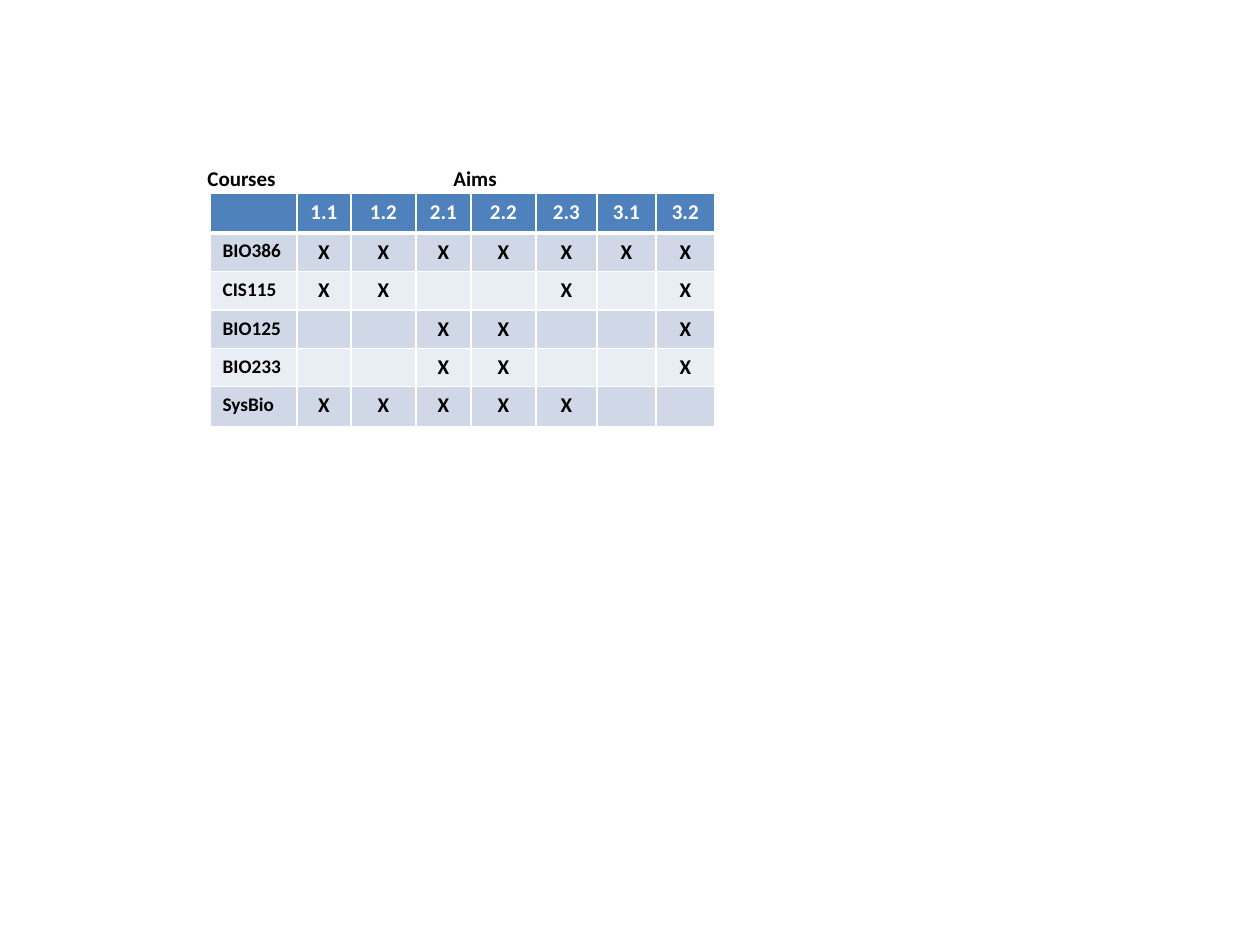
from pptx import Presentation
from pptx.dml.color import RGBColor
from pptx.enum.text import MSO_AUTO_SIZE as AutoSize, PP_ALIGN as Align
from pptx.oxml import parse_xml
from pptx.oxml.ns import nsdecls
from pptx.util import Emu, Pt

PX = 914400 // 126
FONT = "Calibri"
WHITE, BLACK = "FFFFFF", "000000"
HEADER_FILL = "4F81BD"
BAND_FILLS = ("D0D8E8", "E9EDF4")

AIMS = ("1.1", "1.2", "2.1", "2.2", "2.3", "3.1", "3.2")
COURSES = {
    "BIO386": AIMS,
    "CIS115": ("1.1", "1.2", "2.3", "3.2"),
    "BIO125": ("2.1", "2.2", "3.2"),
    "BIO233": ("2.1", "2.2", "3.2"),
    "SysBio": ("1.1", "1.2", "2.1", "2.2", "2.3"),
}
COLUMN_WIDTHS = (87, 54, 65, 55, 65, 61, 59, 59)
ROW_HEIGHTS = (40, 38, 39, 38, 38, 40)


def px(length):
    return Emu(length * PX)


def rgb(color):
    return RGBColor.from_string(color)


def write(frame, text, size, color):
    frame.text = text
    paragraph = frame.paragraphs[0]
    for run in paragraph.runs:
        run.font.name = FONT
        run.font.size = Pt(size)
        run.font.bold = True
        run.font.color.rgb = rgb(color)
    return paragraph


def add_label(slide, text, left, top, width, height):
    frame = slide.shapes.add_textbox(*map(px, (left, top, width, height))).text_frame
    frame.word_wrap = False
    frame.auto_size = AutoSize.SHAPE_TO_FIT_TEXT
    write(frame, text, 12, BLACK)


def set_borders(cell, top, bottom):
    properties = cell._tc.get_or_add_tcPr()
    for side, points in (("L", 1), ("R", 1), ("T", top), ("B", bottom)):
        properties.append(parse_xml(
            f'<a:ln{side} {nsdecls("a")} w="{Pt(points)}"><a:solidFill>'
            f'<a:srgbClr val="{WHITE}"/></a:solidFill></a:ln{side}>'))


def fill_cell(cell, text, row, column):
    set_borders(cell, 3 if row == 1 else 1, 3 if row == 0 else 1)
    cell.fill.solid()
    cell.fill.fore_color.rgb = rgb(BAND_FILLS[(row - 1) % 2] if row else HEADER_FILL)
    size = 12 if column else 11
    paragraph = write(cell.text_frame, text, size, BLACK if row else WHITE)
    if column:
        paragraph.alignment = Align.CENTER
    if not text:
        paragraph._p.get_or_add_endParaRPr().set("sz", str(size * 100))


def add_course_table(slide, left, top):
    rows = [("", *AIMS)]
    for course, covered in COURSES.items():
        rows.append((course, *("X" if aim in covered else "" for aim in AIMS)))
    table = slide.shapes.add_table(
        len(rows), len(COLUMN_WIDTHS), px(left), px(top),
        px(sum(COLUMN_WIDTHS)), px(sum(ROW_HEIGHTS))).table
    for column, width in zip(table.columns, COLUMN_WIDTHS):
        column.width = px(width)
    for row, height in zip(table.rows, ROW_HEIGHTS):
        row.height = px(height)
    for r, texts in enumerate(rows):
        for c, text in enumerate(texts):
            fill_cell(table.cell(r, c), text, r, c)


def main():
    deck = Presentation()
    deck.slide_width, deck.slide_height = px(1260), px(945)
    slide = deck.slides.add_slide(deck.slide_layouts[6])
    add_course_table(slide, 210, 193)
    add_label(slide, "Courses", 195, 159, 95, 38)
    add_label(slide, "Aims", 441, 159, 69, 38)
    deck.save("out.pptx")


if __name__ == "__main__":
    main()
